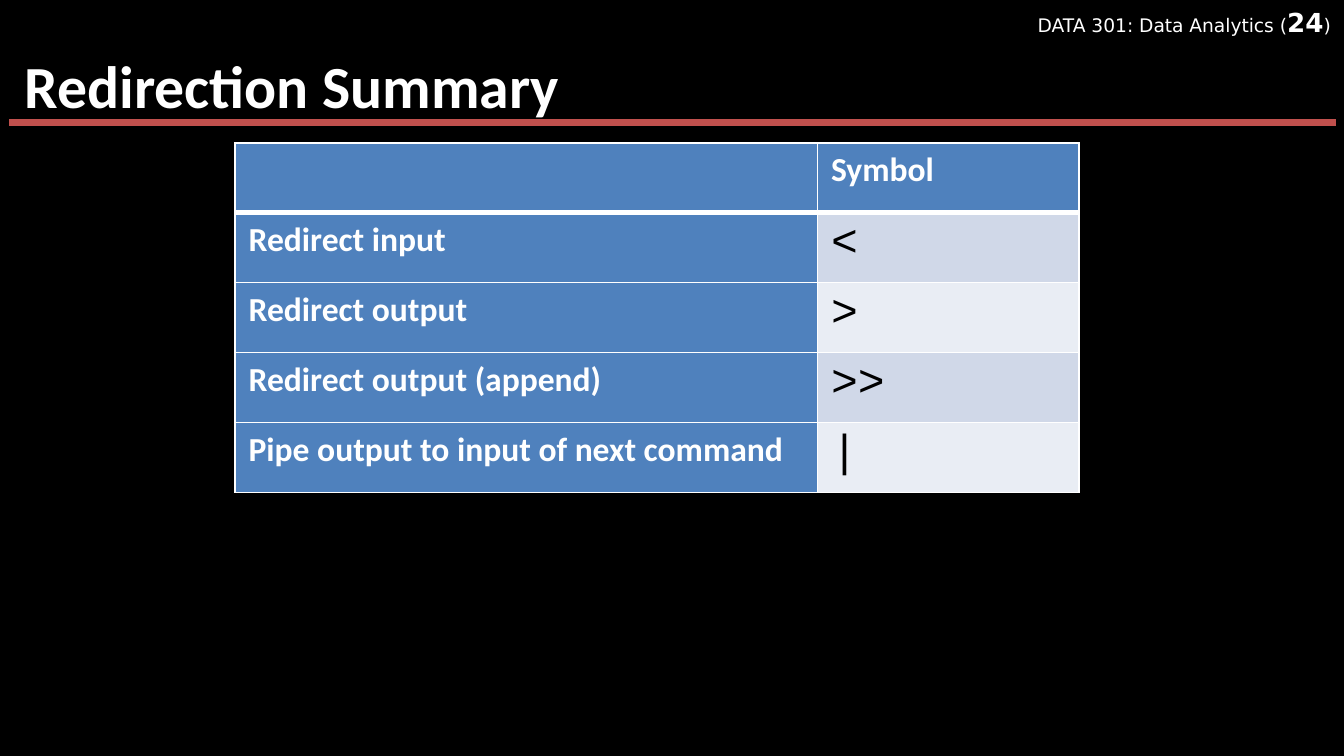
from lxml.etree import SubElement
from pptx import Presentation
from pptx.dml.color import RGBColor
from pptx.enum.shapes import MSO_CONNECTOR
from pptx.enum.text import MSO_ANCHOR, MSO_AUTO_SIZE, PP_ALIGN
from pptx.oxml.ns import qn
from pptx.util import Pt

TITLE = "Redirection Summary"
COURSE, PAGE = "DATA 301: Data Analytics", "24"
HEADER = ("", "Symbol")
COMMANDS = [
    ("Redirect input", "<"),
    ("Redirect output", ">"),
    ("Redirect output (append)", ">>"),
    ("Pipe output to input of next command", "|"),
]
COLUMN_WIDTHS = (312, 140)
ROW_HEIGHT = 37.5
BLACK, WHITE, RED, BLUE = "000000", "FFFFFF", "C0504D", "4F81BD"
BANDS = ("D0D8E8", "E9EDF4")
LABEL = dict(size=18, font="Calibri", color=WHITE, bold=True)
SYMBOL = dict(size=24, font="Courier New", color=BLACK)


def paint(fill, color):
    fill.solid()
    fill.fore_color.rgb = RGBColor.from_string(color)


def write(paragraph, text, size, font, color, bold=False):
    run = paragraph.add_run()
    run.text = text
    run.font.size = Pt(size)
    run.font.name = font
    run.font.bold = bold
    paint(run.font.fill, color)


def add_border(cell, side, width):
    edge = SubElement(cell._tc.get_or_add_tcPr(), qn(f"a:ln{side}"), w=str(Pt(width)))
    SubElement(SubElement(edge, qn("a:solidFill")), qn("a:srgbClr"), val=WHITE)


def fill_cell(cell, text, background, style, top=1, bottom=1):
    for side, width in (("L", 1), ("R", 1), ("T", top), ("B", bottom)):
        add_border(cell, side, width)
    paint(cell.fill, background)
    if text:
        write(cell.text_frame.paragraphs[0], text, **style)


deck = Presentation()
deck.slide_width, deck.slide_height = Pt(720), Pt(405)
slide = deck.slides.add_slide(deck.slide_layouts[5])
paint(slide.background.fill, BLACK)

course_label = slide.shapes.add_textbox(Pt(402), Pt(0), Pt(318), Pt(24.5)).text_frame
course_label.word_wrap = True
course_line = course_label.paragraphs[0]
course_line.alignment = PP_ALIGN.RIGHT
for text, size, bold in ((f"{COURSE} (", 10, False), (PAGE, 14, True), (")", 10, False)):
    write(course_line, text, size=size, font="DejaVu Sans", color=WHITE, bold=bold)

rule = slide.shapes.add_connector(MSO_CONNECTOR.STRAIGHT, Pt(5), Pt(65.5), Pt(716), Pt(65.5))
paint(rule.line.fill, RED)
rule.line.width = Pt(3.75)
SubElement(rule._element.spPr, qn("a:effectLst"))

title = slide.shapes.title
title.left, title.top, title.width, title.height = Pt(6), Pt(0), Pt(708), Pt(65)
heading = title.text_frame
heading.auto_size = MSO_AUTO_SIZE.NONE
heading.vertical_anchor = MSO_ANCHOR.BOTTOM
heading.margin_top = heading.margin_bottom = Pt(0)
heading_line = heading.paragraphs[0]
heading_line.alignment = PP_ALIGN.LEFT
heading_line.line_spacing = 0.89
write(heading_line, TITLE, size=32, font="Calibri", color=WHITE, bold=True)

row_count = len(COMMANDS) + 1
summary = slide.shapes.add_table(
    row_count, len(HEADER), Pt(126), Pt(76.5), Pt(sum(COLUMN_WIDTHS)), Pt(ROW_HEIGHT * row_count)
).table
summary.first_col = True
for column, width in zip(summary.columns, COLUMN_WIDTHS):
    column.width = Pt(width)
for index, text in enumerate(HEADER):
    fill_cell(summary.cell(0, index), text, BLUE, LABEL, bottom=3)
for index, (action, symbol) in enumerate(COMMANDS):
    top = 1 if index else 3
    fill_cell(summary.cell(index + 1, 0), action, BLUE, LABEL, top=top)
    fill_cell(summary.cell(index + 1, 1), symbol, BANDS[index % 2], SYMBOL, top=top)

deck.save("out.pptx")
